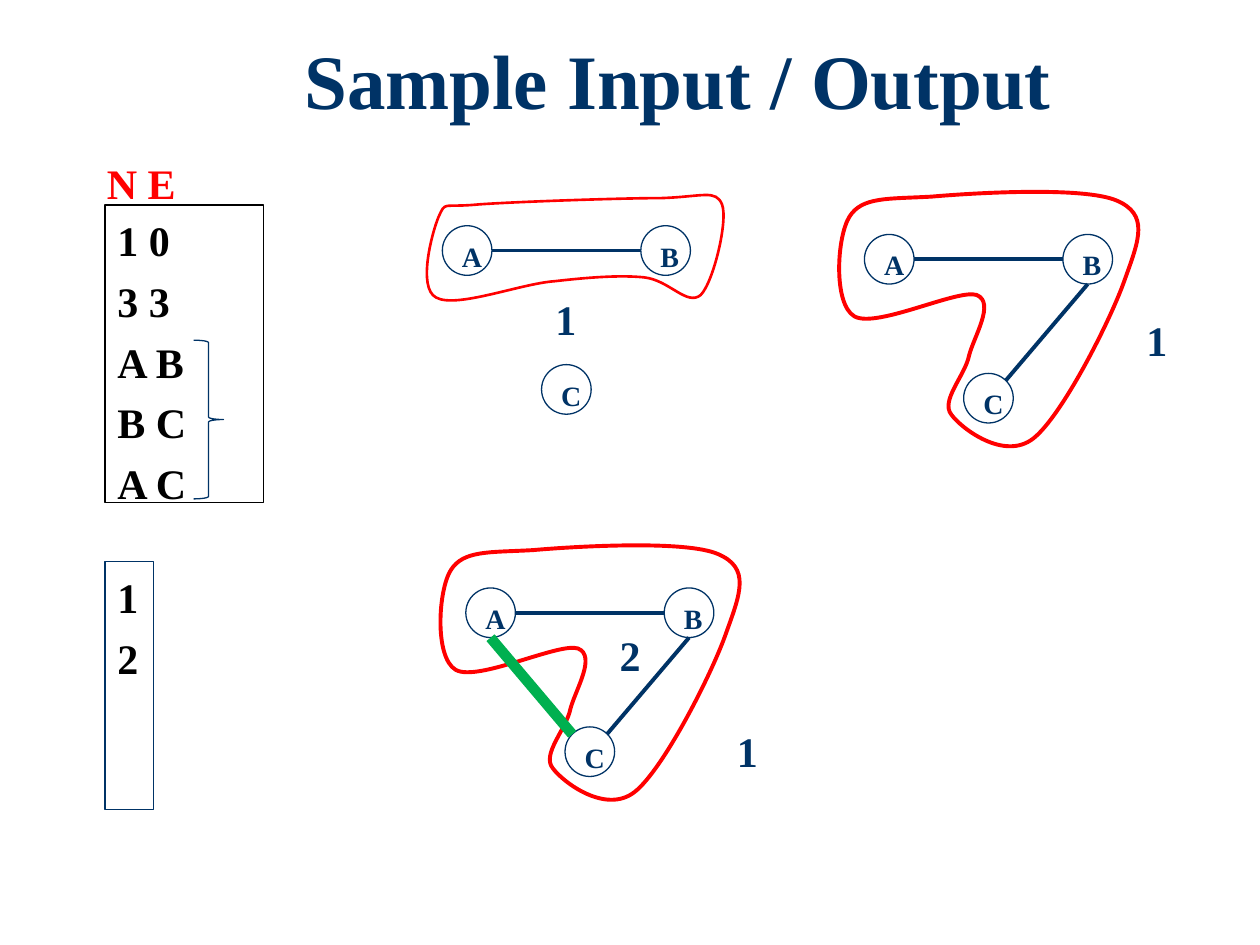
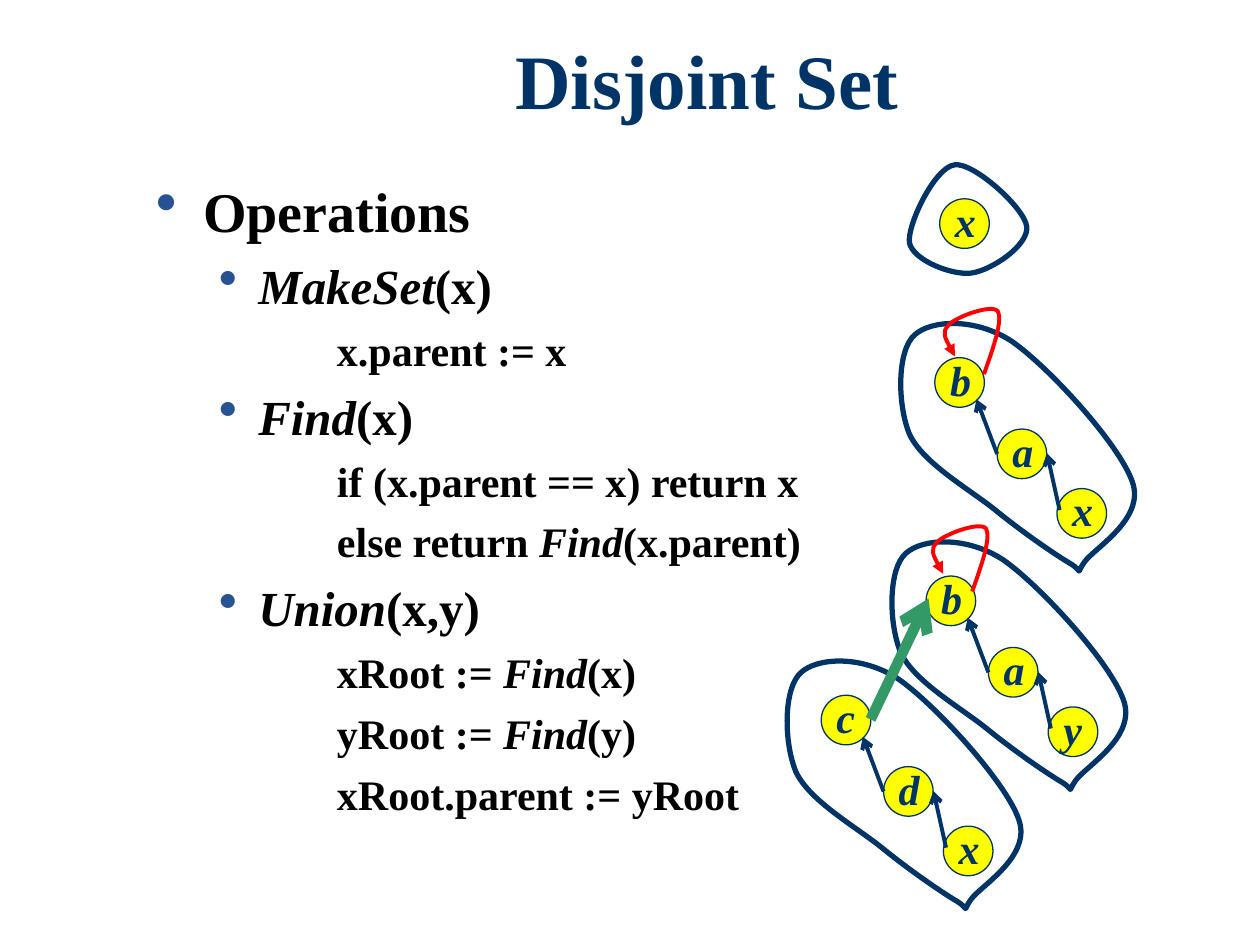
from dataclasses import dataclass

from lxml import etree
from pptx import Presentation
from pptx import util as u
from pptx.dml.color import RGBColor
from pptx.enum import shapes, text
from pptx.oxml.ns import qn


@dataclass(frozen=True)
class Theme:
    font: str = "Times New Roman"
    navy: str = "003366"
    black: str = "000000"
    white: str = "FFFFFF"
    red: str = "FF0000"
    yellow: str = "FFFF00"
    green: str = "00B050"
    sea_green: str = "339966"
    bullet: str = "275393"
    title_size: int = 44
    topic_size: int = 32
    operation_size: int = 28
    text_size: int = 24
    node_size: int = 16
    thin: float = 0.75
    edge: float = 2.25
    outline: float = 3
    thick: float = 6


THEME = Theme()
NODE = 28.35

PAIR_OUTLINE = [
    (20.9, -12.2),
    (-0.7, -10.1), (2.2, -14.4), (-2.2, -5),
    (-5.8, 3.6), (-14.4, 35.3), (-3.6, 41),
    (7.9, 47.5), (44.6, 33.1), (64.1, 31.7),
    (83.5, 29.5), (101.5, 28.1), (115.2, 29.5),
    (129.6, 31), (139.7, 46.1), (147.6, 39.6),
    (154.8, 32.4), (163.4, -2.9), (159.8, -12.2),
    (156.2, -20.9), (149, -16.6), (125.3, -15.8),
    (102.2, -15.8), (41.8, -13.7), (20.9, -12.2),
]
TRIO_OUTLINE = [
    (-8.6, -10.1),
    (-15.8, 1.4), (-18, 39.6), (-5.8, 46.8),
    (6.5, 54), (53.3, 31), (64.1, 34.6),
    (74.9, 38.9), (62.6, 58.3), (59.8, 69.1),
    (57.6, 80.6), (43.2, 95), (49.7, 103),
    (55.4, 110.9), (79.9, 129.6), (96.5, 116.6),
    (113, 103.7), (141.1, 48.2), (149, 25.2),
    (157, 2.9), (162.7, -11.5), (144, -19.4),
    (125.3, -27.4), (63.4, -23.8), (38.2, -21.6),
    (13, -20.2), (-1.4, -21.6), (-8.6, -10.1),
]
SINGLE_OUTLINE = [
    (18, 42.5),
    (7.2, 43.9), (-15.1, 35.3), (-17.3, 25.2),
    (-18.7, 15.1), (-2.9, -18), (8.6, -19.4),
    (19.4, -20.9), (48.2, 5), (49.7, 15.8),
    (51.1, 26.6), (29.5, 41), (18, 42.5),
]
CHAIN_OUTLINE = [
    (77, 117.4),
    (68.4, 112.3), (49.7, 99.4), (34.6, 87.1),
    (19.4, 74.9), (-6.5, 60.5), (-14.4, 43.9),
    (-21.6, 26.6), (-21.6, -4.3), (-11.5, -13),
    (-2.2, -21.6), (23, -23), (43.9, -9.4),
    (64.8, 5), (105.8, 49.7), (113, 71.3),
    (120.2, 92.2), (91.4, 108.7), (85.7, 116.6),
    (79.9, 124.6), (85.7, 122.4), (77, 117.4),
]
SELF_LOOP = [
    (28.1, 9.4),
    (33.8, -6.5), (38.9, -21.6), (36, -26.6),
    (32.4, -31), (11.5, -23), (7.9, -18.7),
    (3.6, -14.4), (7.9, -7.2), (11.5, -0.7),
]
CHAIN_NODES = [(0, 0), (35.6, 40.8), (69.8, 74.8)]
CHAIN_ARROWS = [((35.6, 55), (23.8, 23.8)), ((71.3, 87.1), (64.1, 54.7))]

OPERATIONS = [
    (0, [("Operations", False)]),
    (1, [("MakeSet", True), ("(x)", False)]),
    (3, [("x.parent := x", False)]),
    (1, [("Find", True), ("(x)", False)]),
    (3, [("if (x.parent == x) return x", False)]),
    (3, [("else return ", False), ("Find", True), ("(x.parent)", False)]),
    (1, [("Union", True), ("(x,y)", False)]),
    (3, [("xRoot := ", False), ("Find", True), ("(x)", False)]),
    (3, [("yRoot := ", False), ("Find", True), ("(y)", False)]),
    (3, [("xRoot.parent := yRoot", False)]),
]
LEVELS = {
    0: (THEME.topic_size, 27, -27),
    1: (THEME.operation_size, 58.5, -22.5),
    3: (THEME.text_size, 103.5, 0),
}


def rgb(value):
    return RGBColor.from_string(value)


def shift(origin, point):
    return origin[0] + point[0], origin[1] + point[1]


def add_span(para, words, size, color, italic=False):
    span = para.add_run()
    span.text = words
    span.font.name = THEME.font
    span.font.size = u.Pt(size)
    span.font.bold = True
    span.font.italic = italic
    span.font.color.rgb = rgb(color)


def style_line(item, color, width, head=None):
    item.line.color.rgb = rgb(color)
    item.line.width = u.Pt(width)
    if head:
        line = item.element.spPr.find(qn("a:ln"))
        etree.SubElement(line, qn("a:tailEnd"), type=head)


def add_box(page, left, top, width, height, wrap=True):
    box = page.shapes.add_textbox(*map(u.Pt, (left, top, width, height)))
    box.text_frame.word_wrap = wrap
    return box


def add_title(page, left, words):
    para = add_box(page, left, 21, 576, 66).text_frame.paragraphs[0]
    para.alignment = text.PP_ALIGN.CENTER
    para.line_spacing = 0.9
    add_span(para, words, THEME.title_size, THEME.navy)


def add_label(page, left, top, words, color=THEME.navy, italic=False, width=26.6):
    box = add_box(page, left, top, width, 36, wrap=False)
    add_span(box.text_frame.paragraphs[0], words, THEME.text_size, color, italic)


def add_shape(page, kind, left, top, width, height, fill=None, line=THEME.navy):
    shape = page.shapes.add_shape(kind, *map(u.Pt, (left, top, width, height)))
    shape.shadow.inherit = False
    if fill:
        shape.fill.solid()
        shape.fill.fore_color.rgb = rgb(fill)
    else:
        shape.fill.background()
    style_line(shape, line, THEME.thin)
    shape.text_frame.vertical_anchor = text.MSO_ANCHOR.TOP
    return shape


def add_listing(page, top, width, height, rows, line):
    frame = add_shape(page, shapes.MSO_SHAPE.RECTANGLE, 60, top, width, height, line=line).text_frame
    frame.margin_top = u.Pt(5.6)
    frame.word_wrap = True
    for index, row in enumerate(rows):
        para = frame.add_paragraph() if index else frame.paragraphs[0]
        para.alignment = text.PP_ALIGN.LEFT
        if index:
            para.space_before = u.Pt(5.8)
        add_span(para, row, THEME.text_size, THEME.black)


def add_node(page, position, fill, name=None):
    node = add_shape(page, shapes.MSO_SHAPE.OVAL, *position, NODE, NODE, fill)
    if name:
        node.text_frame.word_wrap = False
        para = node.text_frame.paragraphs[0]
        para.alignment = text.PP_ALIGN.LEFT
        add_span(para, name, THEME.node_size, THEME.navy)


def add_edge(page, start, end, color=THEME.navy, width=THEME.edge, head=None):
    edge = page.shapes.add_connector(shapes.MSO_CONNECTOR.STRAIGHT, *map(u.Pt, (*start, *end)))
    style_line(edge, color, width, head)
    etree.SubElement(edge.element.spPr, qn("a:effectLst"))


def curve_point(ends, t):
    weights = ((1 - t) ** 3, 3 * t * (1 - t) ** 2, 3 * t * t * (1 - t), t ** 3)
    return tuple(round(sum(w * p[axis] for w, p in zip(weights, ends))) for axis in (0, 1))


def add_curve(page, origin, points, color, width, head=None):
    points = [tuple(map(u.Pt, shift(origin, point))) for point in points]
    closed = points[0] == points[-1]
    bends = [points[i:i + 4] for i in range(0, len(points) - 1, 3)]
    builder = page.shapes.build_freeform(*points[0])
    builder.add_line_segments(
        [curve_point(bend, step / 10) for bend in bends for step in range(1, 11)], close=closed)
    curve = builder.convert_to_shape()
    outline = curve.element.spPr.find(".//" + qn("a:path"))
    for segment in list(outline)[1:]:
        outline.remove(segment)
    for bend in bends:
        cubic = etree.SubElement(outline, qn("a:cubicBezTo"))
        for x, y in bend[1:]:
            etree.SubElement(cubic, qn("a:pt"), x=str(x - curve.left), y=str(y - curve.top))
    if closed:
        etree.SubElement(outline, qn("a:close"))
    curve.shadow.inherit = False
    curve.fill.background()
    style_line(curve, color, width, head)


def add_graph(page, origin, outline, width, joined):
    for name, column, row in (("A", 0, 0), ("B", 4, 0), ("C", 2, 2.8)):
        add_node(page, shift(origin, (column * NODE, row * NODE)), THEME.white, name)
    add_edge(page, shift(origin, (NODE, NODE / 2)), shift(origin, (4 * NODE, NODE / 2)))
    if joined:
        add_edge(page, shift(origin, (4.5 * NODE, NODE)), shift(origin, (80.7, 83.5)))
    add_curve(page, origin, outline, THEME.red, width)


def add_set(page, origin, names, outline):
    for name, place in zip(names, CHAIN_NODES):
        position = shift(origin, place)
        add_node(page, position, THEME.yellow)
        add_label(page, *shift(position, (1.6, -5.6)), name, italic=True)
    add_curve(page, origin, outline, THEME.navy, THEME.outline)
    for start, end in CHAIN_ARROWS[:len(names) - 1]:
        add_edge(page, shift(origin, start), shift(origin, end), head="arrow")


def add_bullet(para):
    properties = para._p.get_or_add_pPr()
    color = etree.SubElement(properties, qn("a:buClr"))
    etree.SubElement(color, qn("a:srgbClr"), val=THEME.bullet)
    etree.SubElement(properties, qn("a:buSzPct"), val="110000")
    etree.SubElement(properties, qn("a:buChar"), char="•")


def add_operations(page):
    frame = add_box(page, 82, 94.3, 576, 397.4).text_frame
    frame.margin_top = u.Pt(6.4)
    for index, (level, spans) in enumerate(OPERATIONS):
        size, margin, indent = LEVELS[level]
        para = frame.add_paragraph() if index else frame.paragraphs[0]
        para.level = level
        properties = para._p.get_or_add_pPr()
        properties.set("marL", str(u.Pt(margin)))
        properties.set("indent", str(u.Pt(indent)))
        if indent:
            add_bullet(para)
        if index:
            para.space_before = u.Pt(round(size * 0.24, 1))
        for words, italic in spans:
            add_span(para, words, size, THEME.black, italic)


def build_sample(page):
    add_title(page, 99.4, "Sample Input / Output")
    add_listing(page, 117.2, 90.5, 170, ["1 0", "3 3", "A B", "B C", "A C"], THEME.black)
    add_listing(page, 321, 27.6, 141.8, ["1", "2"], THEME.navy)
    add_label(page, 54, 86.4, "N E", THEME.red, width=54)
    add_shape(page, shapes.MSO_SHAPE.RIGHT_BRACE, 110.7, 194.4, 17, 90.7)
    add_graph(page, (252.8, 129), PAIR_OUTLINE, 1.5, joined=False)
    add_graph(page, (494, 134), TRIO_OUTLINE, THEME.edge, joined=True)
    add_graph(page, (266.2, 336), TRIO_OUTLINE, THEME.edge, joined=True)
    add_edge(page, (280.3, 364.4), (327, 419.6), THEME.green, THEME.thick)
    for left, top, count in ((414, 411, "1"), (347, 356.4, "2"), (310.3, 164.2, "1"), (648, 176.4, "1")):
        add_label(page, left, top, count)


def build_disjoint_set(page):
    add_title(page, 116, "Disjoint Set")
    add_operations(page)
    add_set(page, (537, 113.6), "x", SINGLE_OUTLINE)
    add_set(page, (534.2, 204.4), "bax", CHAIN_OUTLINE)
    add_set(page, (529.2, 329.2), "bay", CHAIN_OUTLINE)
    add_set(page, (469.3, 397.3), "cdx", CHAIN_OUTLINE)
    add_edge(page, (497.5, 411.1), (530.6, 342), THEME.sea_green, THEME.thick, "arrow")
    for origin in ((534.2, 204.4), (527.5, 328.6)):
        add_curve(page, origin, SELF_LOOP, THEME.red, THEME.edge, "triangle")


def main():
    deck = Presentation()
    deck.slide_width, deck.slide_height = u.Pt(720), u.Pt(540)
    for build in (build_sample, build_disjoint_set):
        build(deck.slides.add_slide(deck.slide_layouts[6]))
    deck.save("out.pptx")


if __name__ == "__main__":
    main()
